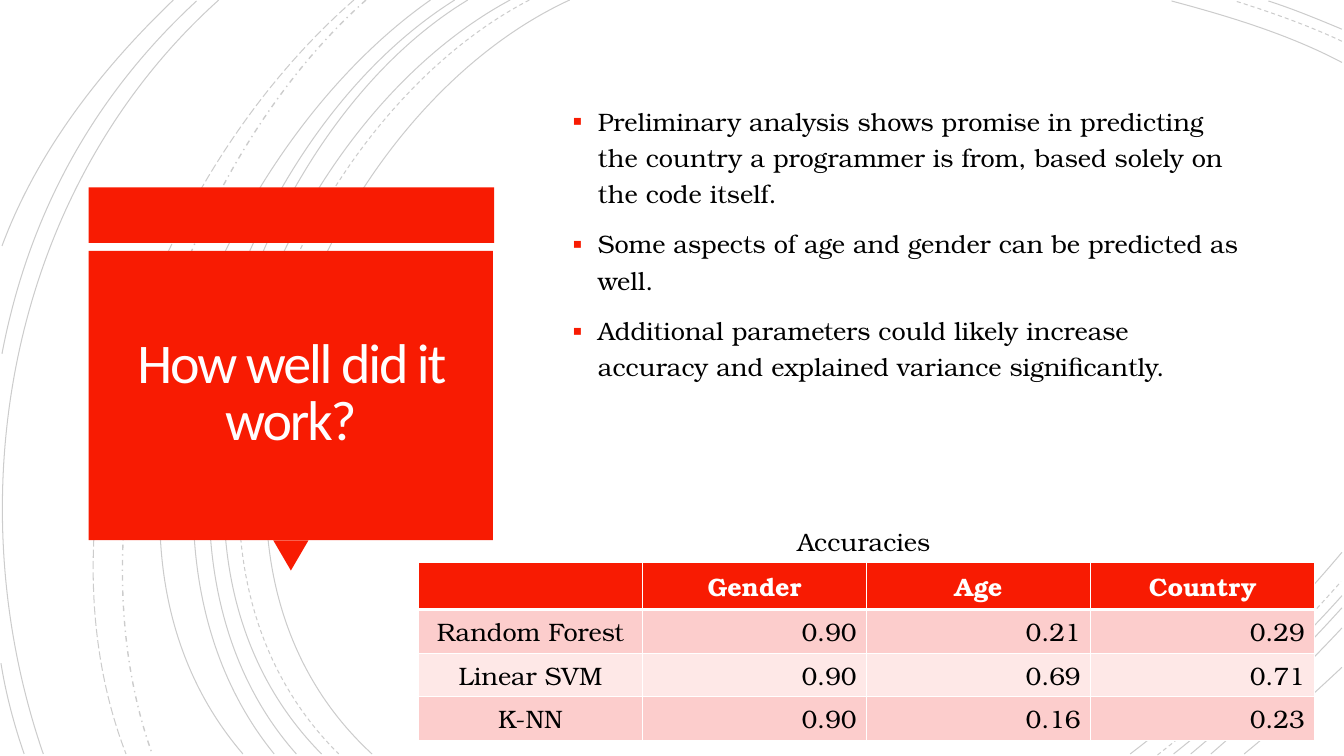
from lxml import etree
from pptx import Presentation
from pptx.dml.color import RGBColor
from pptx.enum.dml import MSO_LINE
from pptx.enum.shapes import MSO_SHAPE
from pptx.enum.text import MSO_ANCHOR, MSO_AUTO_SIZE, PP_ALIGN
from pptx.oxml.ns import qn
from pptx.util import Inches, Pt

RECTANGLE, TRIANGLE = MSO_SHAPE.RECTANGLE, MSO_SHAPE.ISOSCELES_TRIANGLE
LEFT, CENTER, RIGHT = PP_ALIGN.LEFT, PP_ALIGN.CENTER, PP_ALIGN.RIGHT
MIDDLE, NO_AUTOFIT = MSO_ANCHOR.MIDDLE, MSO_AUTO_SIZE.NONE
SOLID, DASH = MSO_LINE.SOLID, MSO_LINE.DASH
LONG_DASH, DASH_DOT = MSO_LINE.LONG_DASH, MSO_LINE.DASH_DOT

RED, WHITE, BLACK = "F81B02", "FFFFFF", "000000"
TITLE_WHITE = "FFFEFF"
ROW_TINTS = ["FCCDCC", "FEE8E7"]
TITLE_FONT, BODY_FONT = "Calibri", "TeX Gyre Bonum"

# Bezier points (start, two controls, end) and dash of each background arc
ARCS = [
    ((5.65, 0), (3.15, 1.15), (1.43, 5.4), (3.69, 7.48), SOLID),
    ((13.31, 0.62), (12.78, 0.34), (12.18, 0.16), (11.62, 0.01), SOLID),
    ((11.21, 7.48), (11.97, 6.9), (12.69, 6.22), (13.31, 5.48), SOLID),
    ((5.25, 0), (2.85, 1.25), (1.23, 5.37), (3.36, 7.48), DASH),
    ((13.31, 0.41), (12.97, 0.25), (12.6, 0.12), (12.25, 0.01), DASH),
    ((11.48, 7.49), (12.13, 6.98), (12.75, 6.4), (13.3, 5.77), DASH),
    ((5.06, 0), (2.7, 1.27), (1.1, 5.37), (3.19, 7.48), SOLID),
    ((13.31, 0.29), (13.07, 0.19), (12.83, 0.09), (12.58, 0.01), SOLID),
    ((11.64, 7.48), (12.23, 7.01), (12.8, 6.48), (13.31, 5.91), SOLID),
    ((4.64, 0), (2.44, 1.33), (1.1, 5.41), (2.94, 7.48), SOLID),
    ((11.81, 7.48), (12.34, 7.04), (12.84, 6.55), (13.31, 6.03), SOLID),
    ((4.51, 0), (2.31, 1.38), (0.97, 5.33), (2.72, 7.48), SOLID),
    ((12.01, 7.48), (12.46, 7.09), (12.9, 6.67), (13.31, 6.23), SOLID),
    ((4.27, 0), (2.17, 1.47), (0.53, 5.29), (2.41, 7.48), SOLID),
    ((12.34, 7.48), (12.67, 7.21), (12.99, 6.92), (13.31, 6.62), SOLID),
    ((3.63, 0), (1.76, 1.66), (0.65, 5.09), (1.51, 7.48), DASH_DOT),
    ((3.51, 0), (1.57, 1.69), (0.29, 4.99), (1.25, 7.48), LONG_DASH),
    ((2.17, 0), (0.11, 1.85), (-0.46, 4.9), (0.43, 7.48), SOLID),
    ((1.95, 0.01), (0.92, 0.96), (0.28, 2.14), (0.02, 3.51), SOLID),
    ((0.01, 6.58), (0.06, 6.89), (0.14, 7.19), (0.24, 7.48), SOLID),
    ((1.72, 0), (1, 0.69), (0.37, 1.5), (0.02, 2.44), SOLID),
]

FINDINGS = [
    "Preliminary analysis shows promise in predicting the country a programmer "
    "is from, based solely on the code itself.",
    "Some aspects of age and gender can be predicted as well.",
    "Additional parameters could likely increase accuracy and explained variance "
    "significantly.",
]
ACCURACIES = [
    ["", "Gender", "Age", "Country"],
    ["Random Forest", "0.90", "0.21", "0.29"],
    ["Linear SVM", "0.90", "0.69", "0.71"],
    ["K-NN", "0.90", "0.16", "0.23"],
]


def rgb(color):
    return RGBColor.from_string(color)


def write(paragraph, text, font=BODY_FONT, size=18, color=BLACK, bold=False,
          align=LEFT, tracking=0):
    paragraph.alignment = align
    run = paragraph.add_run()
    run.text = text
    run.font.name, run.font.size, run.font.bold = font, Pt(size), bold
    run.font.color.rgb = rgb(color)
    if tracking:
        run.font._element.set("spc", str(int(tracking * 100)))


def place(shape, left, top, width, height):
    shape.left, shape.top = Inches(left), Inches(top)
    shape.width, shape.height = Inches(width), Inches(height)


def add_arc(slide, *points, dash):
    start, *others = [tuple(map(Inches, point)) for point in points]
    builder = slide.shapes.build_freeform(*start)
    builder.add_line_segments(others, close=False)
    arc = builder.convert_to_shape()

    # Turn the three straight segments into one cubic curve
    outline = arc._element.find(".//" + qn("a:path"))
    segments = outline.findall(qn("a:lnTo"))
    curve = etree.SubElement(outline, qn("a:cubicBezTo"))
    for segment in segments:
        curve.append(segment[0])
        outline.remove(segment)

    arc.shadow.inherit = False
    arc.fill.background()
    arc.line.color.rgb = rgb(BLACK)
    arc.line.width = Pt(1 if dash == DASH_DOT else 0.75)
    arc.line.dash_style = dash
    ink = arc._element.spPr.find(qn("a:ln")).find(".//" + qn("a:srgbClr"))
    etree.SubElement(ink, qn("a:alpha"), val="20000")


def add_red_shape(slide, kind, box, rotation=0):
    shape = slide.shapes.add_shape(kind, *map(Inches, box))
    shape.shadow.inherit = False
    shape.fill.solid()
    shape.fill.fore_color.rgb = rgb(RED)
    shape.line.fill.background()
    shape.rotation = rotation


def bring_to_front(slide, shape):
    slide.shapes._spTree.append(shape._element)


def fill_title(slide):
    title = slide.shapes.title
    bring_to_front(slide, title)
    place(title, 0.97, 2.57, 3.83, 2.69)
    frame = title.text_frame
    frame.auto_size, frame.vertical_anchor = NO_AUTOFIT, MIDDLE
    frame.margin_left = frame.margin_right = Inches(0.25)
    frame.margin_top = frame.margin_bottom = Inches(0.25)
    heading = frame.paragraphs[0]
    heading.line_spacing = 0.85
    write(heading, "How well did it work?", font=TITLE_FONT, size=40,
          color=TITLE_WHITE, align=CENTER, tracking=-1.5)


def add_bullet(paragraph):
    props = paragraph._p.get_or_add_pPr()
    props.set("marL", str(Inches(0.25)))
    props.set("indent", str(-Inches(0.25)))
    bullet_color = etree.SubElement(props, qn("a:buClr"))
    etree.SubElement(bullet_color, qn("a:srgbClr"), val=RED)
    etree.SubElement(props, qn("a:buSzPct"), val="110000")
    etree.SubElement(props, qn("a:buChar"), char="▪")


def fill_findings(slide):
    findings = slide.placeholders[1]
    bring_to_front(slide, findings)
    place(findings, 5.58, 0.81, 6.87, 3.51)
    frame = findings.text_frame
    frame.auto_size, frame.vertical_anchor = NO_AUTOFIT, MIDDLE
    frame.margin_bottom = Inches(0.4)
    for index, finding in enumerate(FINDINGS):
        paragraph = frame.add_paragraph() if index else frame.paragraphs[0]
        add_bullet(paragraph)
        paragraph.line_spacing, paragraph.space_before = 1.2, Pt(10)
        write(paragraph, finding)


def style_cell(cell, color, top_width, bottom_width):
    props = cell._tc.get_or_add_tcPr()
    widths = {"L": 1, "R": 1, "T": top_width, "B": bottom_width}
    for side, width in widths.items():
        border = etree.SubElement(props, qn("a:ln" + side), w=str(Pt(width)))
        border_fill = etree.SubElement(border, qn("a:solidFill"))
        etree.SubElement(border_fill, qn("a:srgbClr"), val=WHITE)
    cell.fill.solid()
    cell.fill.fore_color.rgb = rgb(color)


def add_accuracy_table(slide):
    table = slide.shapes.add_table(
        len(ACCURACIES), len(ACCURACIES[0]),
        Inches(4.15), Inches(5.58), Inches(8.89), Inches(1.62)).table
    for r, values in enumerate(ACCURACIES):
        header = r == 0
        for c, value in enumerate(values):
            cell = table.cell(r, c)
            style_cell(cell, RED if header else ROW_TINTS[(r - 1) % 2],
                       top_width=3 if r == 1 else 1,
                       bottom_width=3 if header else 1)
            if value:
                write(cell.text_frame.paragraphs[0], value, bold=header,
                      color=WHITE if header else BLACK,
                      align=CENTER if header or c == 0 else RIGHT)


def add_caption(slide):
    caption = slide.shapes.add_textbox(
        Inches(7.81), Inches(5.17), Inches(1.82), Inches(0.4))
    caption.text_frame.word_wrap = True
    write(caption.text_frame.paragraphs[0], "Accuracies")


def main():
    deck = Presentation()
    deck.slide_width, deck.slide_height = Inches(13.33), Inches(7.5)
    slide = deck.slides.add_slide(deck.slide_layouts[1])

    # Background arcs
    for *points, dash in ARCS:
        add_arc(slide, *points, dash=dash)

    # Red title panel: bar, pointer, block
    add_red_shape(slide, RECTANGLE, (0.88, 1.86, 4.02, 0.55))
    add_red_shape(slide, TRIANGLE, (2.71, 5.36, 0.35, 0.3), rotation=180)
    add_red_shape(slide, RECTANGLE, (0.88, 2.49, 4.01, 2.87))

    # Content
    fill_title(slide)
    fill_findings(slide)
    add_accuracy_table(slide)
    add_caption(slide)
    deck.save("out.pptx")


if __name__ == "__main__":
    main()
